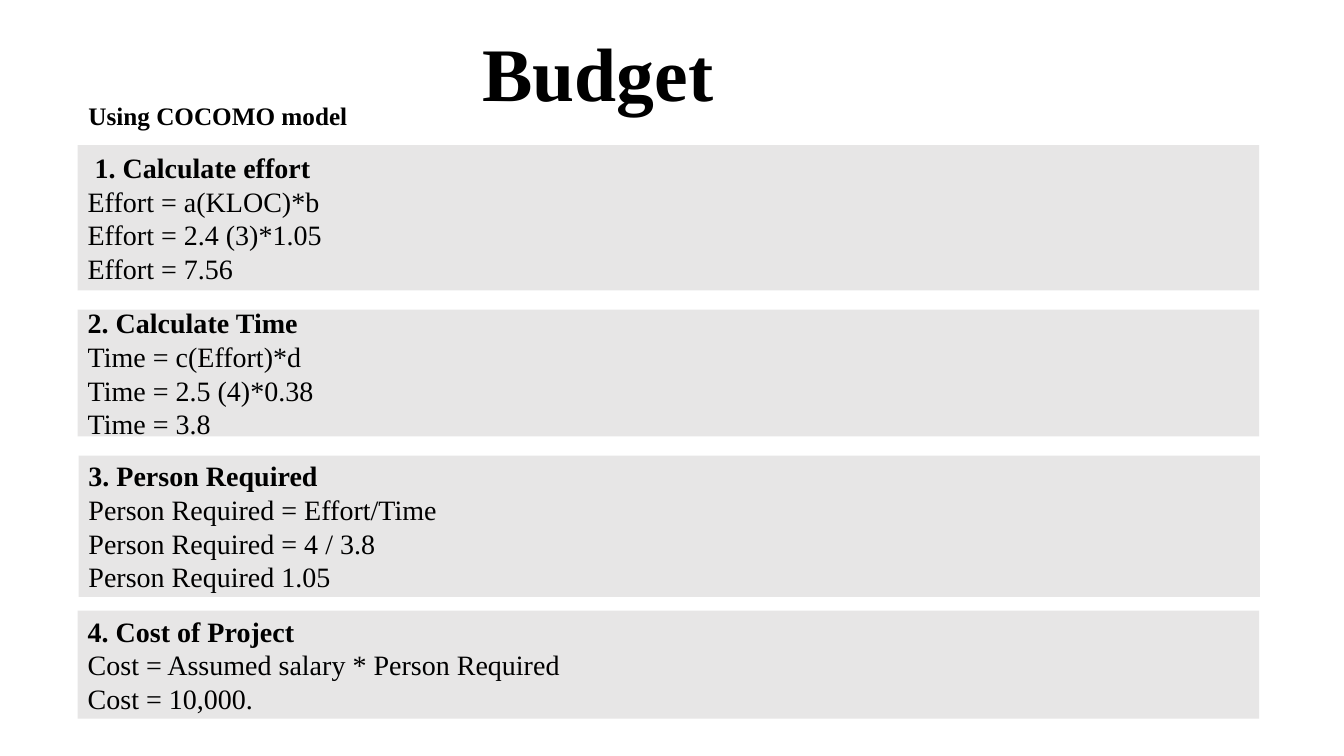
from dataclasses import dataclass

from pptx import Presentation
from pptx.dml.color import RGBColor
from pptx.enum.shapes import MSO_SHAPE
from pptx.enum.text import MSO_ANCHOR, MSO_AUTO_SIZE, PP_ALIGN
from pptx.slide import Slide
from pptx.text.text import TextFrame
from pptx.util import Cm, Pt

COLORS = {"text": "000000", "panel": "E7E6E6"}
FONT_NAME = "Times New Roman"
PANEL_LEFT, PANEL_WIDTH = 1.96, 29.77


@dataclass(frozen=True)
class Label:
    text: str
    left: float
    top: float
    width: float
    height: float
    size: int
    line_spacing: float
    wrap: bool
    auto_size: MSO_AUTO_SIZE


@dataclass(frozen=True)
class Step:
    heading: str
    lines: tuple[str, ...]
    top: float
    height: float
    left: float = PANEL_LEFT


LABELS = (
    Label("Budget", 11.91, 0.79, 9.65, 3.23, 54, 0.9, True, MSO_AUTO_SIZE.NONE),
    Label("Using COCOMO model", 1.98, 2.41, 7.29, 1.02, 18, 1.0, False,
          MSO_AUTO_SIZE.SHAPE_TO_FIT_TEXT),
)

STEPS = (
    Step(" 1. Calculate effort",
         ("Effort = a(KLOC)*b", "Effort = 2.4 (3)*1.05", "Effort = 7.56"),
         3.66, 3.66),
    Step("2. Calculate Time",
         ("Time = c(Effort)*d", "Time = 2.5 (4)*0.38", "Time = 3.8"),
         7.8, 3.2),
    Step("3. Person Required",
         ("Person Required = Effort/Time", "Person Required = 4 / 3.8",
          "Person Required 1.05"),
         11.48, 3.56, left=1.98),
    Step("4. Cost of Project",
         ("Cost = Assumed salary * Person Required", "Cost = 10,000."),
         15.39, 2.72),
)


def write_lines(text_frame: TextFrame, lines: tuple[str, ...], size: int,
                line_spacing: float = 1.0) -> None:
    """Write one paragraph per line, with the first line in bold."""
    for index, line in enumerate(lines):
        paragraph = text_frame.paragraphs[0] if index == 0 else text_frame.add_paragraph()
        paragraph.alignment = PP_ALIGN.LEFT
        paragraph.line_spacing = line_spacing
        run = paragraph.add_run()
        run.text = line
        font_format = {"name": FONT_NAME, "size": Pt(size), "bold": index == 0}
        for attribute, value in font_format.items():
            setattr(run.font, attribute, value)
        run.font.color.rgb = RGBColor.from_string(COLORS["text"])


def add_label(slide: Slide, label: Label) -> None:
    shape = slide.shapes.add_textbox(Cm(label.left), Cm(label.top),
                                     Cm(label.width), Cm(label.height))
    shape.text_frame.word_wrap = label.wrap
    shape.text_frame.auto_size = label.auto_size
    write_lines(shape.text_frame, (label.text,), label.size, label.line_spacing)


def add_step(slide: Slide, step: Step) -> None:
    shape = slide.shapes.add_shape(MSO_SHAPE.RECTANGLE, Cm(step.left), Cm(step.top),
                                   Cm(PANEL_WIDTH), Cm(step.height))
    shape.shadow.inherit = False
    shape.fill.solid()
    shape.fill.fore_color.rgb = RGBColor.from_string(COLORS["panel"])
    shape.line.fill.background()
    shape.text_frame.word_wrap = True
    shape.text_frame.vertical_anchor = MSO_ANCHOR.MIDDLE
    write_lines(shape.text_frame, (step.heading, *step.lines), 20)


def main() -> None:
    presentation = Presentation()
    presentation.slide_width = Cm(33.87)
    presentation.slide_height = Cm(19.05)
    slide = presentation.slides.add_slide(presentation.slide_layouts[6])
    title, subtitle = LABELS
    add_label(slide, title)
    for step in STEPS:
        add_step(slide, step)
    add_label(slide, subtitle)
    presentation.save("out.pptx")


if __name__ == "__main__":
    main()
